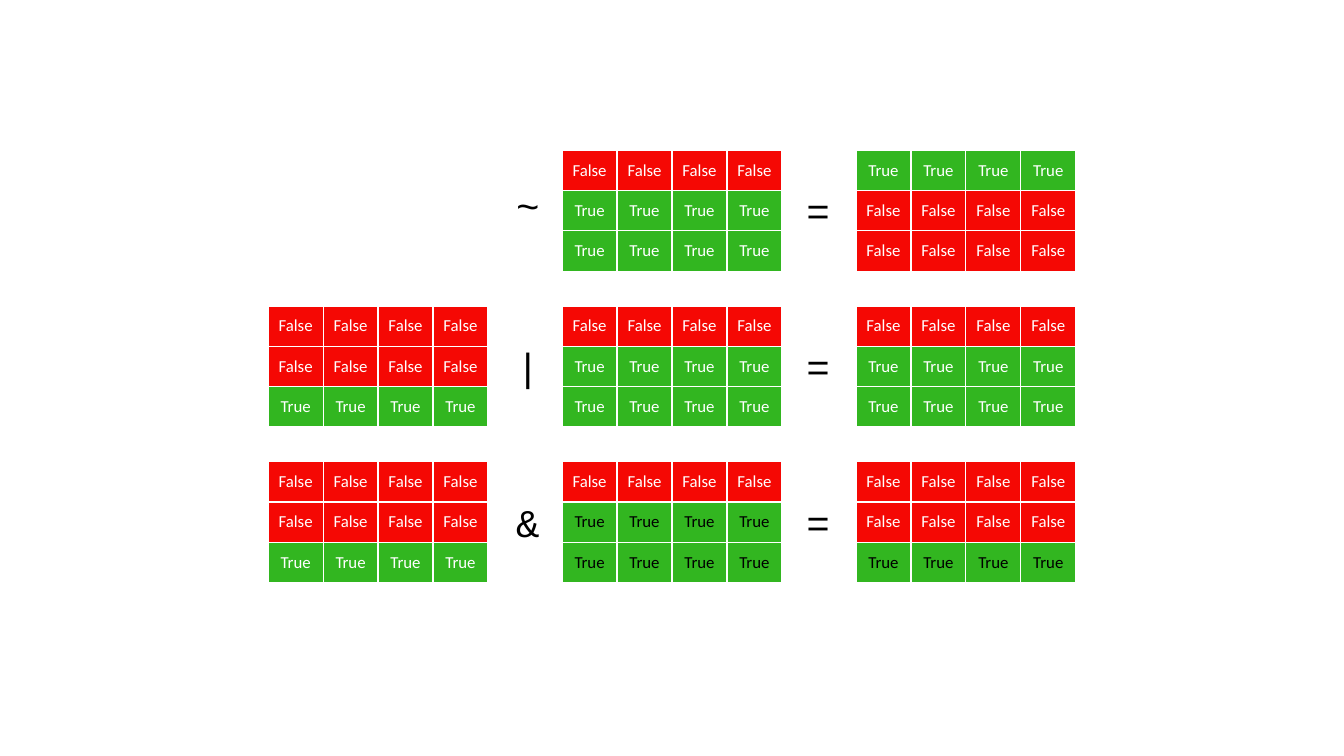
from lxml import etree
from pptx import Presentation
from pptx import util as u
from pptx.dml.color import RGBColor
from pptx.enum import text
from pptx.oxml.ns import qn

RED, GREEN, WHITE, BLACK = "F50804", "32B620", "FFFFFF", "000000"
FILLS = {"False": RED, "True": GREEN}
GRID_LEFT, GRID_TOP = 2.66, 1.49
COLUMN_STEP, ROW_STEP = 2.915, 1.545
TABLE_WIDTH, TABLE_HEIGHT = 2.18, 1.2
TABLE_COLUMNS = 4
SYMBOL_WIDTH, SYMBOL_HEIGHT = 0.42, 0.57

FTT = ("False", "True", "True")
TFF = ("True", "False", "False")
FFT = ("False", "False", "True")

EQUATIONS = [
    ("~", 0.26, [(None, WHITE), (FTT, WHITE), (TFF, WHITE)]),
    ("|", 0.31, [(FFT, WHITE), (FTT, WHITE), (FTT, WHITE)]),
    ("&", 0.31, [(FFT, WHITE), (FTT, BLACK), (FFT, BLACK)]),
]


def colour(value):
    return RGBColor.from_string(value)


def add_run(paragraph, words, font, size, value):
    run = paragraph.add_run()
    run.text = words
    run.font.name = font
    run.font.size = u.Pt(size)
    run.font.color.rgb = colour(value)


def add_borders(cell, value):
    properties = cell._tc.get_or_add_tcPr()
    for index, side in enumerate(("lnL", "lnR", "lnT", "lnB")):
        line = etree.Element(qn(f"a:{side}"), w=str(u.Pt(1)))
        fill = etree.SubElement(line, qn("a:solidFill"))
        etree.SubElement(fill, qn("a:srgbClr"), val=value)
        properties.insert(index, line)


def format_cell(cell, word, true_colour):
    cell.fill.solid()
    cell.fill.fore_color.rgb = colour(FILLS[word])
    cell.vertical_anchor = text.MSO_ANCHOR.MIDDLE
    cell.margin_left = cell.margin_right = u.Inches(0.05)
    paragraph = cell.text_frame.paragraphs[0]
    paragraph.alignment = text.PP_ALIGN.CENTER
    add_run(paragraph, word, "Calibri", 12, true_colour if word == "True" else WHITE)
    add_borders(cell, WHITE)


def add_truth_table(slide, left, top, words, true_colour):
    frame = slide.shapes.add_table(
        len(words), TABLE_COLUMNS, u.Inches(left), u.Inches(top),
        u.Inches(TABLE_WIDTH), u.Inches(TABLE_HEIGHT))
    table = frame.table
    table.first_row = table.horz_banding = False
    for row, word in zip(table.rows, words):
        for cell in row.cells:
            format_cell(cell, word, true_colour)


def add_symbol(slide, left, top, symbol):
    box = slide.shapes.add_textbox(
        u.Inches(left), u.Inches(top), u.Inches(SYMBOL_WIDTH), u.Inches(SYMBOL_HEIGHT))
    box.text_frame.word_wrap = False
    box.text_frame.auto_size = text.MSO_AUTO_SIZE.SHAPE_TO_FIT_TEXT
    add_run(box.text_frame.paragraphs[0], symbol, "Courier New", 28, BLACK)


def add_equation(slide, left, top, operator, operator_drop, operands):
    for column, (words, true_colour) in enumerate(operands):
        if words:
            add_truth_table(slide, left + column * COLUMN_STEP, top, words, true_colour)
    add_symbol(slide, left + 2.36, top + operator_drop, operator)
    add_symbol(slide, left + 5.24, top + 0.31, "=")


def main():
    presentation = Presentation()
    presentation.slide_width = u.Inches(13.33)
    presentation.slide_height = u.Inches(7.5)
    slide = presentation.slides.add_slide(presentation.slide_layouts[6])
    for row, equation in enumerate(EQUATIONS):
        add_equation(slide, GRID_LEFT, GRID_TOP + row * ROW_STEP, *equation)
    presentation.save("out.pptx")


if __name__ == "__main__":
    main()
